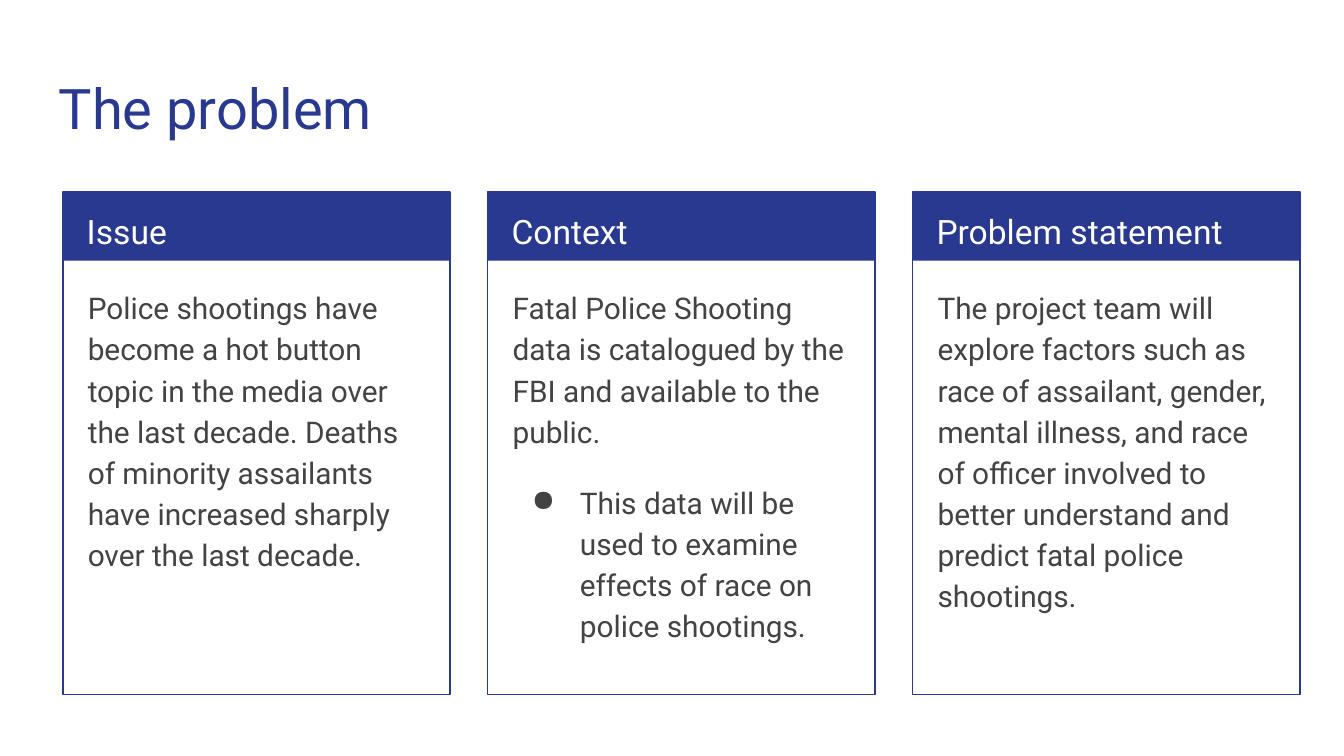
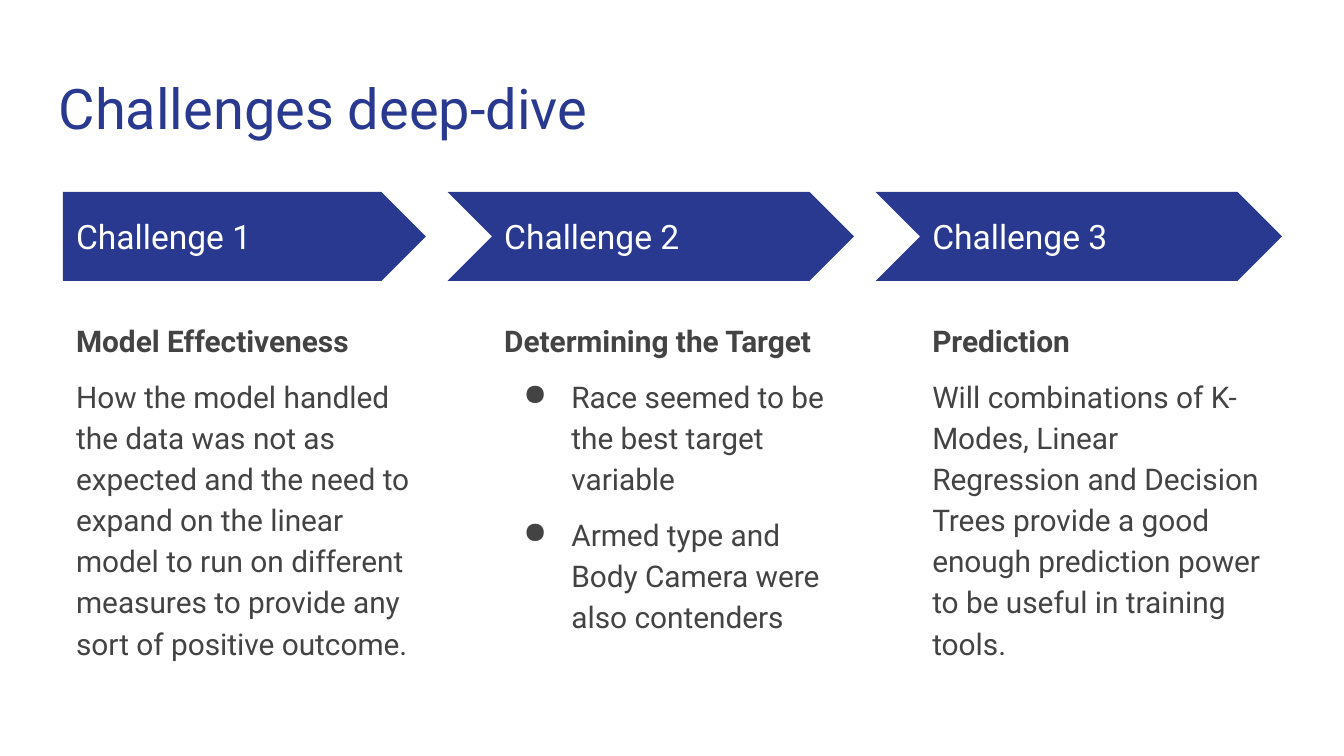
from dataclasses import dataclass

import lxml.etree
import pptx
import pptx.dml.color
import pptx.enum.shapes
import pptx.enum.text
import pptx.oxml.ns
import pptx.util

Cm = pptx.util.Cm
Pt = pptx.util.Pt
RGBColor = pptx.dml.color.RGBColor
Shape = pptx.enum.shapes.MSO_SHAPE
Anchor = pptx.enum.text.MSO_ANCHOR

# Shared look, lengths in centimetres
NAVY = RGBColor(0x2A, 0x39, 0x90)
GRAY = RGBColor(0x43, 0x43, 0x43)
WHITE = RGBColor(0xFF, 0xFF, 0xFF)
FONT = "Roboto"
LEFT = 1.19
TOP = 3.63
INSET = 0.25


@dataclass
class Para:
    text: str
    bold: bool = False
    bullet: bool = False
    before: float = 0
    after: float = 0


@dataclass
class Column:
    head: str
    paras: list[Para]


CARDS = [
    Column("Issue", [
        Para("Police shootings have become a hot button topic in the media over "
             "the last decade. Deaths of minority assailants have increased "
             "sharply over the last decade.", after=16)]),
    Column("Context", [
        Para("Fatal Police Shooting data is catalogued by the FBI and available "
             "to the public."),
        Para("This data will be used to examine effects of race on police "
             "shootings.", bullet=True, before=16)]),
    Column("Problem statement", [
        Para("The project team will explore factors such as race of assailant, "
             "gender, mental illness, and race of officer involved to better "
             "understand and predict fatal police shootings.", after=16)]),
]

STEPS = [
    Column("Challenge 1", [
        Para("Model Effectiveness", bold=True),
        Para("How the model handled the data was not as expected and the need "
             "to expand on the linear model to run on different measures to "
             "provide any sort of positive outcome.", before=8, after=8)]),
    Column("Challenge 2", [
        Para("Determining the Target", bold=True),
        Para("Race seemed to be the best target variable", bullet=True, before=8),
        Para("Armed type and Body Camera were also contenders", bullet=True,
             before=8, after=8)]),
    Column("Challenge 3", [
        Para("Prediction", bold=True),
        Para("Will combinations of K-Modes, Linear Regression and Decision Trees "
             "provide a good enough prediction power to be useful in training "
             "tools.", before=8, after=8)]),
]


def add_dot(para, color: RGBColor) -> None:
    """Give a paragraph a hanging round bullet."""
    props = para._p.get_or_add_pPr()
    props.set("marL", str(Cm(1.27)))
    props.set("indent", str(-Cm(0.91)))
    qn = pptx.oxml.ns.qn
    tint = lxml.etree.SubElement(props, qn("a:buClr"))
    lxml.etree.SubElement(tint, qn("a:srgbClr")).set("val", str(color))
    lxml.etree.SubElement(props, qn("a:buChar")).set("char", "●")


def add_text(slide, paras: list[Para], left: float, top: float, width: float,
             height: float, *, size: float, color: RGBColor,
             spacing: float = 1.0, anchor=Anchor.TOP) -> None:
    box = slide.shapes.add_textbox(Cm(left), Cm(top), Cm(width), Cm(height))
    frame = box.text_frame
    frame.word_wrap = True
    frame.vertical_anchor = anchor
    frame.margin_left = frame.margin_right = Cm(INSET)
    frame.margin_top = frame.margin_bottom = Cm(INSET)
    for i, item in enumerate(paras):
        para = frame.paragraphs[0] if i == 0 else frame.add_paragraph()
        para.line_spacing = spacing
        para.space_before = Pt(item.before)
        para.space_after = Pt(item.after)
        if item.bullet:
            add_dot(para, color)
        run = para.add_run()
        run.text = item.text
        run.font.name = FONT
        run.font.size = Pt(size)
        run.font.bold = item.bold
        run.font.color.rgb = color


def add_block(slide, kind, left: float, top: float, width: float,
              height: float, *, filled: bool = True) -> None:
    """Draw a solid navy shape, or only its navy outline."""
    shape = slide.shapes.add_shape(kind, Cm(left), Cm(top), Cm(width), Cm(height))
    shape.shadow.inherit = False
    if filled:
        shape.fill.solid()
        shape.fill.fore_color.rgb = NAVY
        shape.line.fill.background()
    else:
        shape.fill.background()
        shape.line.color.rgb = NAVY
        shape.line.width = Pt(0.75)


def add_slide(deck, title: str):
    slide = deck.slides.add_slide(deck.slide_layouts[6])
    slide.background.fill.solid()
    slide.background.fill.fore_color.rgb = WHITE
    add_text(slide, [Para(title)], 0.86, 1.14, 23.67, 1.68, size=30, color=NAVY)
    return slide


def draw_cards(deck) -> None:
    slide = add_slide(deck, "The problem")
    pitch, width = 8.03, 7.32
    for i, card in enumerate(CARDS):
        left = LEFT + i * pitch
        add_block(slide, Shape.RECTANGLE, left, TOP, width, 1.3)
        add_block(slide, Shape.RECTANGLE, left, TOP, width, 9.5, filled=False)
        add_text(slide, [Para(card.head)], left + 0.2, TOP, 6.93, 1.27,
                 size=18, color=WHITE, spacing=1.15)
        add_text(slide, card.paras, left + 0.22, 5.13, 6.88, 7.77,
                 size=16, color=GRAY, spacing=1.15)


def draw_steps(deck) -> None:
    slide = add_slide(deck, "Challenges deep-dive")
    pitch, width, notch = 8.09, 6.86, 0.82
    for i, step in enumerate(STEPS):
        left = LEFT + i * pitch
        # Later arrows start earlier, so the notch sits before the label
        if i == 0:
            add_block(slide, Shape.PENTAGON, left, TOP, width, 1.68)
        else:
            add_block(slide, Shape.CHEVRON, left - notch, TOP, width + notch, 1.68)
        add_text(slide, [Para(step.head)], left, 4.04, 6.27, 0.86,
                 size=18, color=WHITE, anchor=Anchor.MIDDLE)
        add_text(slide, step.paras, left, 5.74, width, 7.37,
                 size=16, color=GRAY, spacing=1.15)


def main() -> None:
    deck = pptx.Presentation()
    deck.slide_width = Cm(25.4)
    deck.slide_height = Cm(14.29)
    draw_cards(deck)
    draw_steps(deck)
    deck.save("out.pptx")


if __name__ == "__main__":
    main()
